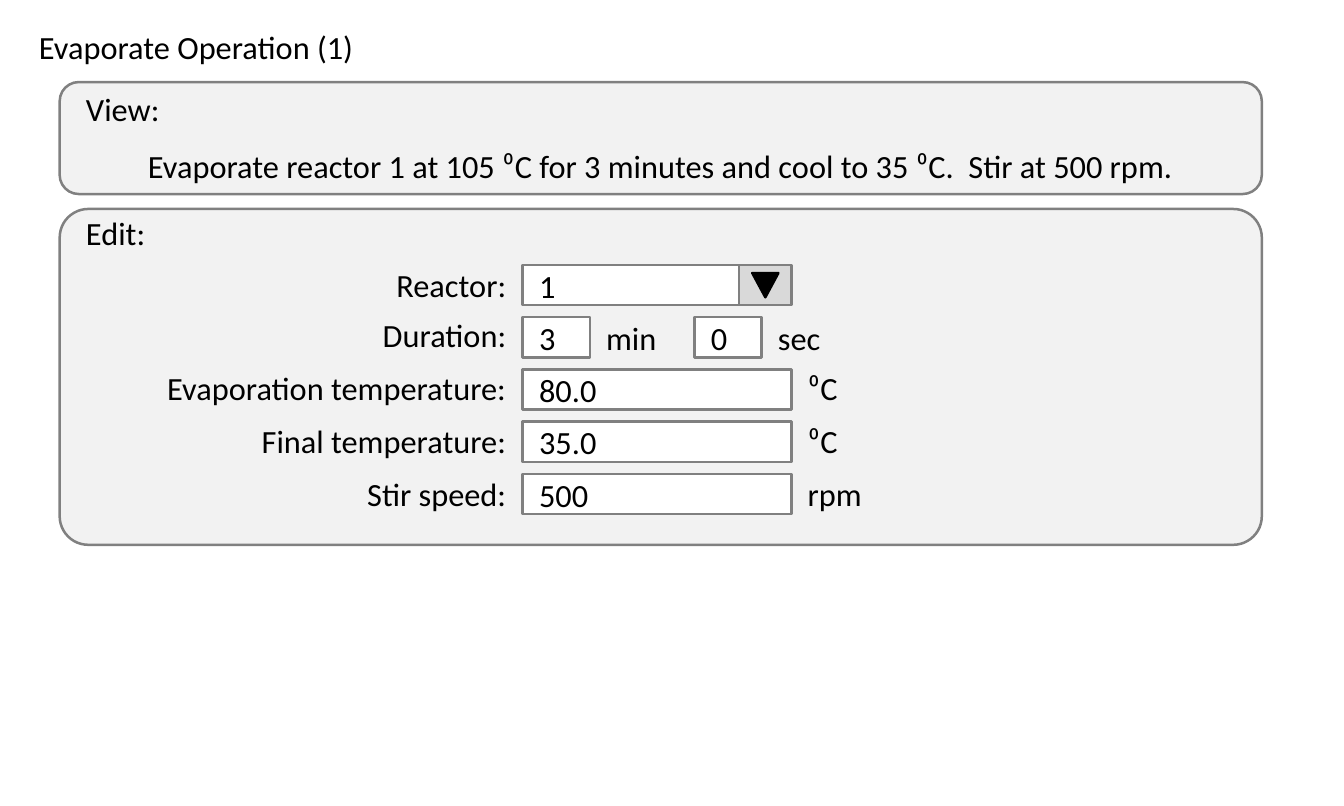
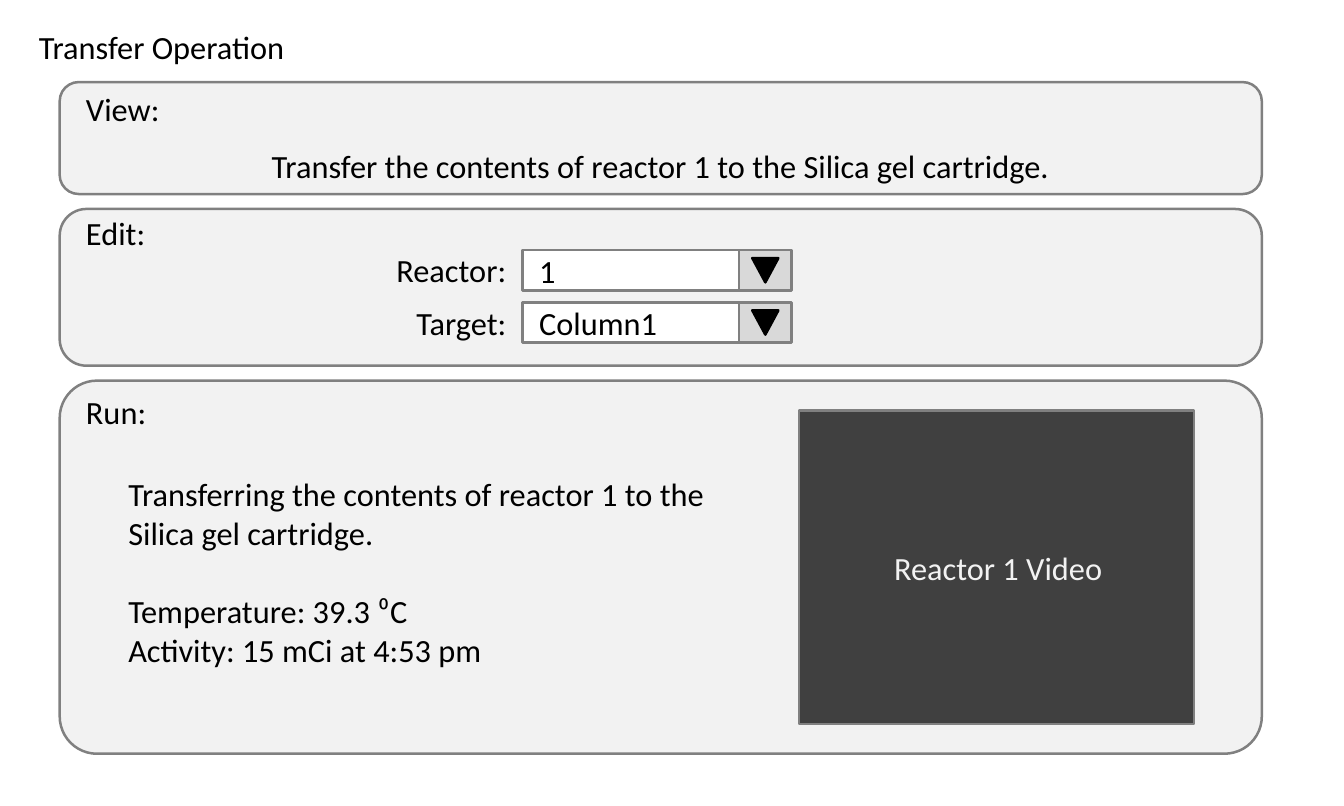
"""Build two mock-up slides of the synthesis operation editor."""
import pptx
import pptx.dml.color
import pptx.enum.shapes
import pptx.enum.text
import pptx.util

Pt = pptx.util.Pt
SHAPE = pptx.enum.shapes.MSO_SHAPE
ALIGN = pptx.enum.text.PP_ALIGN
ANCHOR = pptx.enum.text.MSO_ANCHOR

FONT, FONT_SIZE = "Calibri", 26
BLACK, WHITE, BORDER = "000000", "FFFFFF", "808080"
PANEL, BUTTON, VIDEO = "F2F2F2", "D9D9D9", "404040"

PANEL_LEFT, PANEL_WIDTH = 48, 966
CAPTION_LEFT, CAPTION_WIDTH = 62, 938
LINE_HEIGHT = 39
LABEL_LEFT, LABEL_WIDTH = 120, 294
FIELD_LEFT, FIELD_WIDTH, FIELD_HEIGHT = 420, 216, 32.4
SHORT_WIDTH, BUTTON_WIDTH = 54, 42
UNIT_GAP, ROW_STEP = 6, 42
FIELD_DROP = 3


def color(hex_code):
    """Turn a hex string into a colour."""
    return pptx.dml.color.RGBColor.from_string(hex_code)


def write(frame, lines, ink=BLACK, align=ALIGN.LEFT, anchor=ANCHOR.TOP):
    """Fill a text frame with one paragraph for each line."""
    frame.word_wrap = True
    frame.vertical_anchor = anchor
    for index, line in enumerate(lines):
        paragraph = frame.add_paragraph() if index else frame.paragraphs[0]
        paragraph.alignment = align
        run = paragraph.add_run()
        run.text = line
        run.font.name = FONT
        run.font.size = Pt(FONT_SIZE)
        run.font.color.rgb = color(ink)
    return frame.paragraphs


def add_text(slide, left, top, width, lines, height=LINE_HEIGHT, align=ALIGN.LEFT):
    """Place a text box and return its paragraphs."""
    box = slide.shapes.add_textbox(Pt(left), Pt(top), Pt(width), Pt(height))
    return write(box.text_frame, lines, align=align)


def add_block(slide, kind, left, top, width, height, fill, border=BORDER):
    """Draw a filled and outlined preset shape."""
    block = slide.shapes.add_shape(kind, Pt(left), Pt(top), Pt(width), Pt(height))
    block.shadow.inherit = False
    block.fill.solid()
    block.fill.fore_color.rgb = color(fill)
    block.line.color.rgb = color(border)
    block.line.width = Pt(2)
    return block


def add_panel(slide, top, height, lines, text_top, text_height=LINE_HEIGHT, rounding=0.17):
    """Draw a rounded panel and return the paragraphs of its text."""
    panel = add_block(slide, SHAPE.ROUNDED_RECTANGLE, PANEL_LEFT, top,
                      PANEL_WIDTH, height, PANEL)
    panel.adjustments[0] = rounding
    return add_text(slide, CAPTION_LEFT, text_top, CAPTION_WIDTH, lines, text_height)


def add_field(slide, left, row_top, width, value):
    """Draw an input field holding its value."""
    field = add_block(slide, SHAPE.RECTANGLE, left, row_top + FIELD_DROP, width,
                      FIELD_HEIGHT, WHITE)
    frame = field.text_frame
    frame.margin_left = Pt(13.2)
    frame.margin_right = frame.margin_top = frame.margin_bottom = 0
    write(frame, [value], anchor=ANCHOR.MIDDLE)


def add_label(slide, top, label):
    """Write a right-aligned field label."""
    add_text(slide, LABEL_LEFT, top, LABEL_WIDTH, [label], align=ALIGN.RIGHT)


def add_dropdown(slide, top, label, value):
    """Draw a labelled drop-down list."""
    add_label(slide, top, label)
    value_width = FIELD_WIDTH - BUTTON_WIDTH
    add_field(slide, FIELD_LEFT, top, value_width, value)
    button_left, button_top = FIELD_LEFT + value_width, top + FIELD_DROP
    add_block(slide, SHAPE.RECTANGLE, button_left, button_top, BUTTON_WIDTH,
              FIELD_HEIGHT, BUTTON)
    arrow = add_block(slide, SHAPE.ISOSCELES_TRIANGLE, button_left + 10.5,
                      button_top + 6.5, 21, 19.5, BLACK, BLACK)
    arrow.rotation = 180


def add_measure(slide, left, field_top, width, value, unit, unit_top):
    """Draw an input field followed by its unit."""
    add_field(slide, left, field_top, width, value)
    add_text(slide, left + width + UNIT_GAP, unit_top, 66, [unit])


def add_operation(deck, title, summary):
    """Add a slide with its title and view panel."""
    slide = deck.slides.add_slide(deck.slide_layouts[5])
    heading = slide.shapes.title
    heading.left, heading.top = Pt(24), Pt(18)
    heading.width, heading.height = Pt(576), Pt(LINE_HEIGHT)
    heading.text_frame.auto_size = pptx.enum.text.MSO_AUTO_SIZE.NONE
    write(heading.text_frame, [title])
    view = add_panel(slide, 66, 90, ["View:", summary], 68, 85)
    view[1].alignment = ALIGN.CENTER
    view[1].space_before = Pt(14.6)
    return slide


def build_evaporate(deck):
    """Build the evaporate operation slide."""
    slide = add_operation(
        deck, "Evaporate Operation (1)",
        "Evaporate reactor 1 at 105 ⁰C for 3 minutes and cool to 35 ⁰C.  Stir at 500 rpm.")
    add_panel(slide, 168, 270, ["Edit:"], 168, rounding=0.085)
    first_row = 210
    add_dropdown(slide, first_row, "Reactor:", "1")
    duration_top = first_row + ROW_STEP
    add_label(slide, 250, "Duration:")
    for left, value, unit in ((FIELD_LEFT, "3", "min"), (558, "0", "sec")):
        add_measure(slide, left, duration_top, SHORT_WIDTH, value, unit, duration_top)
    settings = (
        ("Evaporation temperature:", "80.0", "⁰C", 292.5),
        ("Final temperature:", "35.0", "⁰C", 335.3),
        ("Stir speed:", "500", "rpm", 378),
    )
    for row, (label, value, unit, label_top) in enumerate(settings, 2):
        add_label(slide, label_top, label)
        add_measure(slide, FIELD_LEFT, first_row + row * ROW_STEP,
                    FIELD_WIDTH, value, unit, label_top)


def build_transfer(deck):
    """Build the transfer operation slide."""
    slide = add_operation(
        deck, "Transfer Operation",
        "Transfer the contents of reactor 1 to the Silica gel cartridge.")
    add_panel(slide, 168, 126, ["Edit:"], 168)
    for row, (label, value) in enumerate((("Reactor:", "1"), ("Target:", "Column1"))):
        add_dropdown(slide, 198 + row * ROW_STEP, label, value)
    add_panel(slide, 306, 300, ["Run:"], 312, rounding=0.1)
    video = add_block(slide, SHAPE.RECTANGLE, 642, 330, 317.5, 252, VIDEO)
    video.text_frame.margin_left = Pt(10)
    write(video.text_frame, ["Reactor 1 Video"], PANEL, ALIGN.CENTER, ANCHOR.MIDDLE)
    status = add_text(slide, 96, 378, 482, [
        "Transferring the contents of reactor 1 to the Silica gel cartridge.",
        "Temperature: 39.3 ⁰C",
        "Activity: 15 mCi at 4:53 pm",
    ], 165)
    status[1].space_before = Pt(31.7)


def main():
    """Build and save the deck."""
    deck = pptx.Presentation()
    deck.slide_width, deck.slide_height = Pt(1080), Pt(648)
    build_evaporate(deck)
    build_transfer(deck)
    deck.save("out.pptx")


if __name__ == "__main__":
    main()
